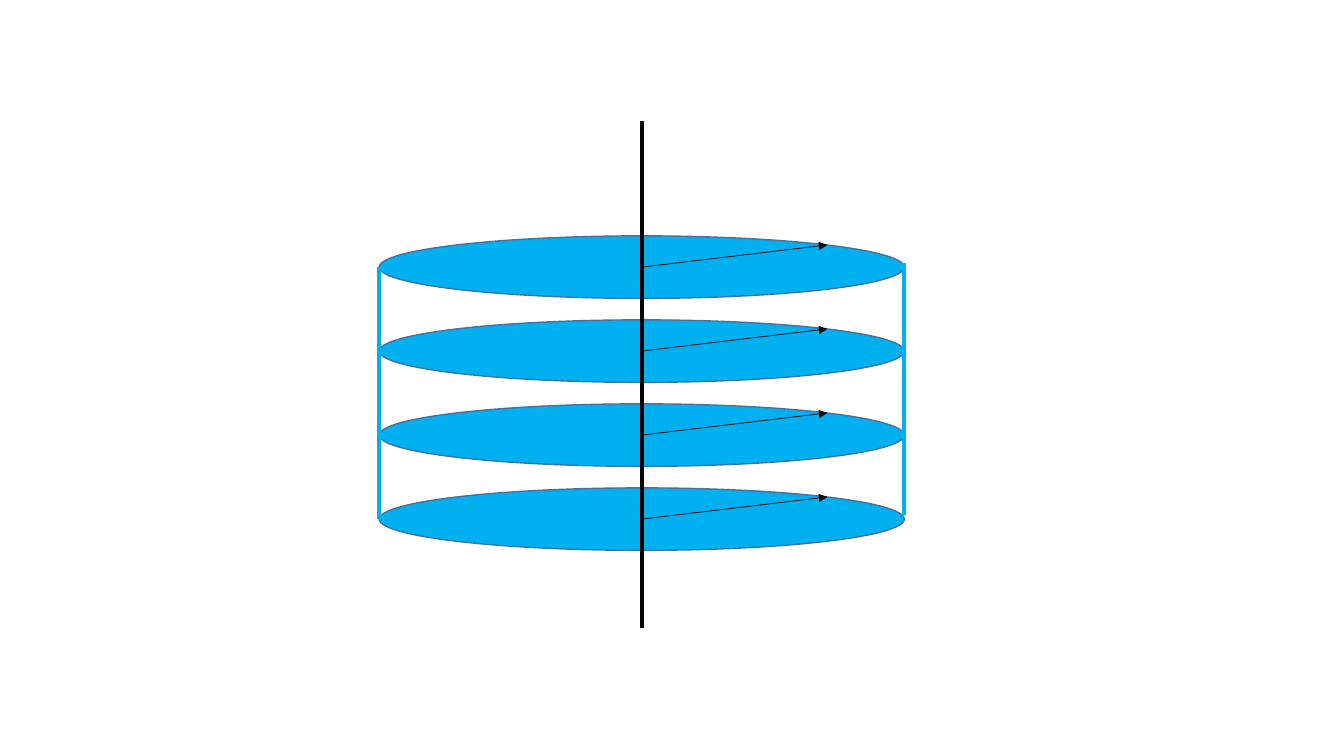
from lxml import etree
from pptx import Presentation
from pptx.dml.color import RGBColor
from pptx.enum.shapes import MSO_CONNECTOR, MSO_SHAPE
from pptx.oxml.ns import qn
from pptx.util import Inches, Pt

OVAL = MSO_SHAPE.OVAL
STRAIGHT = MSO_CONNECTOR.STRAIGHT

SKY = RGBColor(0x00, 0xB0, 0xF0)
RIM = RGBColor(0x43, 0x73, 0x9E)
BLACK = RGBColor(0x00, 0x00, 0x00)

# Stack of discs, in inches
DISC_COUNT = 4
DISC_WIDTH, DISC_HEIGHT = 5.21, 0.62
DISC_LEFT = 3.76
FIRST_CENTRE, LAST_CENTRE = 2.65, 5.15
RADIUS_RUN, RADIUS_RISE = 1.84, 0.22
AXIS_TOP, AXIS_BOTTOM = 1.2, 6.23
RIGHT_SIDE_LIFT = 0.04

axis_x = DISC_LEFT + DISC_WIDTH / 2
disc_right = DISC_LEFT + DISC_WIDTH
disc_pitch = (LAST_CENTRE - FIRST_CENTRE) / (DISC_COUNT - 1)
disc_centres = [FIRST_CENTRE + i * disc_pitch for i in range(DISC_COUNT)]

prs = Presentation()
prs.slide_width, prs.slide_height = Inches(13.33), Inches(7.5)
slide = prs.slides.add_slide(prs.slide_layouts[6])


def add_disc(centre_y):
    disc = slide.shapes.add_shape(
        OVAL, Inches(DISC_LEFT), Inches(centre_y - DISC_HEIGHT / 2),
        Inches(DISC_WIDTH), Inches(DISC_HEIGHT))
    disc.shadow.inherit = False
    disc.fill.solid()
    disc.fill.fore_color.rgb = SKY
    disc.line.color.rgb = RIM
    disc.line.width = Pt(1)


def add_line(x1, y1, x2, y2, color, weight, arrow=False):
    line = slide.shapes.add_connector(
        STRAIGHT, Inches(x1), Inches(y1), Inches(x2), Inches(y2))
    line.line.color.rgb = color
    line.line.width = Pt(weight)
    if arrow:
        etree.SubElement(line.line._get_or_add_ln(), qn("a:tailEnd"), type="triangle")
    etree.SubElement(line._element.spPr, qn("a:effectLst"))


# Discs, each with a radius arrow
for centre_y in disc_centres:
    add_disc(centre_y)
    add_line(axis_x, centre_y, axis_x + RADIUS_RUN, centre_y - RADIUS_RISE,
             BLACK, 0.5, arrow=True)

# Rotation axis
add_line(axis_x, AXIS_TOP, axis_x, AXIS_BOTTOM, BLACK, 3)

# Cylinder sides
for side_x, lift in ((DISC_LEFT, 0), (disc_right, RIGHT_SIDE_LIFT)):
    add_line(side_x, FIRST_CENTRE - lift, side_x, LAST_CENTRE - lift, SKY, 3)

prs.save("out.pptx")
